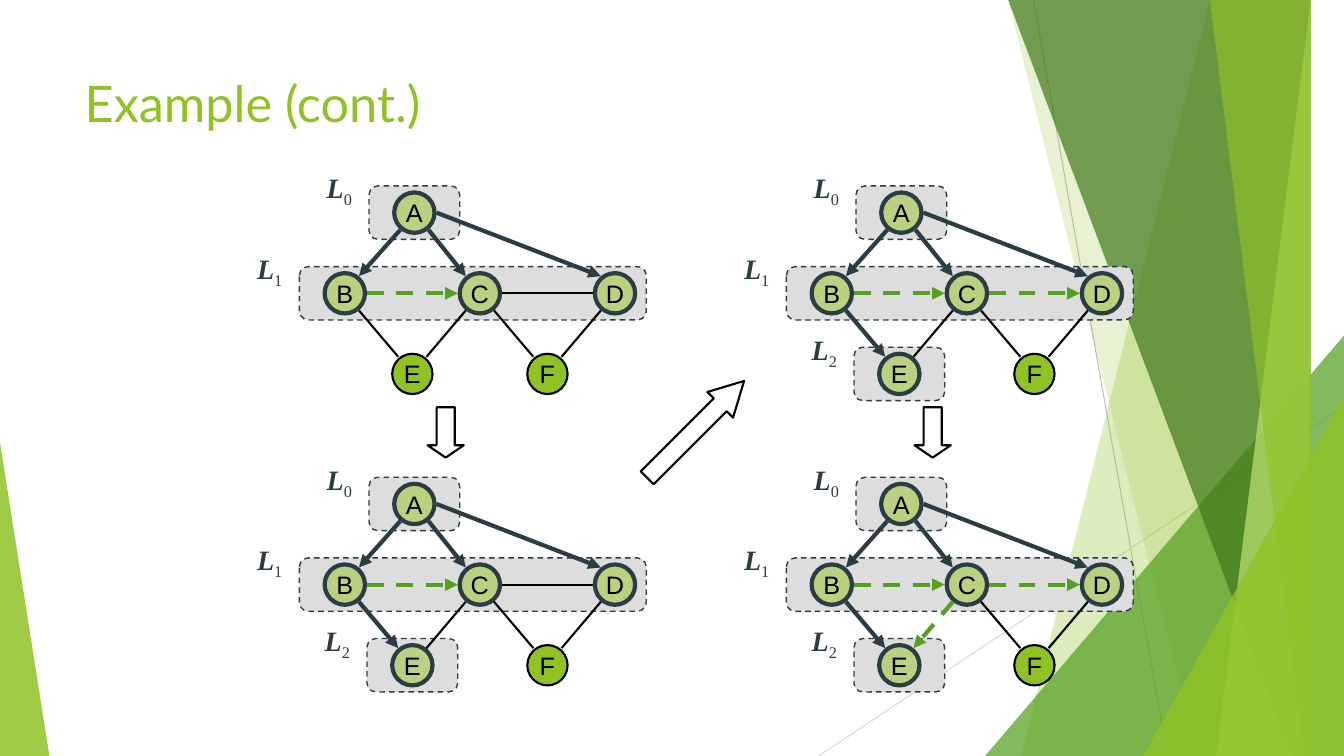
from lxml.etree import SubElement
from pptx import Presentation
from pptx.dml.color import RGBColor
from pptx.enum.dml import MSO_LINE
from pptx.enum.shapes import MSO_CONNECTOR, MSO_SHAPE
from pptx.enum.text import MSO_ANCHOR, MSO_AUTO_SIZE, PP_ALIGN
from pptx.oxml.ns import qn
from pptx.util import Inches, Pt

LIME = RGBColor(0x90, 0xC2, 0x26)
PALE = RGBColor(0xB9, 0xD1, 0x81)
LEAF = RGBColor(0x54, 0xA0, 0x21)
MOSS = RGBColor(0x3F, 0x78, 0x19)
MINT = RGBColor(0xC0, 0xE4, 0x74)
SLATE = RGBColor(0x2C, 0x3C, 0x43)
GRAY = RGBColor(0xDD, 0xDD, 0xDD)
SILVER = RGBColor(0xBF, 0xBF, 0xBF)
MIST = RGBColor(0xD9, 0xD9, 0xD9)
BLACK = RGBColor(0, 0, 0)

WIDE, HIGH = 13.33, 7.5
COL, ROW = 0.67, 0.8          # node grid inside a panel
LEFT, TOP = 3.42, 2.11        # grid origin of the first panel
STEP_X, STEP_Y = 4.83, 2.89   # distance between panels
NODE, BAND = 0.4, 0.53

# node: column, row
NODES = {"C": (2, 1), "B": (0, 1), "A": (1.03, 0),
         "E": (1, 2), "D": (4, 1), "F": (3, 2)}
EDGES = ["AB", "AC", "AD", "BC", "CD", "BE", "CE", "CF", "DF"]
# level: first node, width of its band
LEVELS = [("A", 0.9), ("B", 3.44), ("E", 0.9)]
# panel column, panel row, tree edges, cross edges
PANELS = [(0, 0, ["AB", "AC", "AD"], ["BC"]),
          (0, 1, ["AB", "AC", "AD", "BE"], ["BC"]),
          (1, 0, ["AB", "AC", "AD", "BE"], ["BC", "CD"]),
          (1, 1, ["AB", "AC", "AD", "BE"], ["BC", "CD", "CE"])]


def add_line(shapes, start, end, color, width, dash=False, arrow=False):
    line = shapes.add_connector(MSO_CONNECTOR.STRAIGHT,
                                *map(Inches, (*start, *end)))
    line.line.color.rgb = color
    line.line.width = Pt(width)
    if dash:
        line.line.dash_style = MSO_LINE.DASH
    props = line.element.spPr
    if arrow:
        SubElement(props.find(qn("a:ln")), qn("a:tailEnd"), type="triangle")
    SubElement(props, qn("a:effectLst"))


def add_box(shapes, kind, box, fill=None, edge=None, width=1):
    shape = shapes.add_shape(kind, *map(Inches, box))
    shape.shadow.inherit = False
    if fill is None:
        shape.fill.background()
    else:
        shape.fill.solid()
        shape.fill.fore_color.rgb = fill
    if edge is None:
        shape.line.fill.background()
    else:
        shape.line.color.rgb = edge
        shape.line.width = Pt(width)
    return shape


def fade(shape, share):
    """Set the opacity of a solid fill, in percent."""
    color = next(shape.element.iter(qn("a:srgbClr")))
    SubElement(color, qn("a:alpha"), val=str(share * 1000))


def add_run(para, text, font, size, color, bold=False, italic=False):
    run = para.add_run()
    run.text = text
    run.font.name = font
    run.font.size = Pt(size)
    run.font.color.rgb = color
    run.font.bold = bold
    run.font.italic = italic
    return run


def add_facet(shapes, top, base, color, share):
    """Fill from a slanted edge to the right side of the slide."""
    path = shapes.build_freeform(top, 0, scale=Inches(1))
    path.add_line_segments([(WIDE, 0), (WIDE, HIGH), (base, HIGH)], close=True)
    shape = path.convert_to_shape()
    shape.shadow.inherit = False
    shape.fill.solid()
    shape.fill.fore_color.rgb = color
    shape.line.fill.background()
    fade(shape, share)


def add_wedge(shapes, left, top, width, tip, color, share):
    """Right triangle that stands on the bottom of the slide."""
    shape = add_box(shapes, MSO_SHAPE.ISOSCELES_TRIANGLE,
                    (left, top, width, HIGH - top), color)
    shape.adjustments[0] = tip
    fade(shape, share)


def add_backdrop(shapes):
    add_line(shapes, (10.25, 0), (11.58, HIGH), SILVER, 0.75)
    add_line(shapes, (WIDE, 4.03), (8.12, HIGH), MIST, 0.75)
    add_facet(shapes, 12.28, 10.04, LIME, 30)
    add_facet(shapes, 10.5, 11.83, LIME, 20)
    add_wedge(shapes, 9.77, 3.33, 3.56, 1, LEAF, 72)
    add_facet(shapes, 10.21, 12.91, MOSS, 70)
    add_facet(shapes, 13.03, 11.92, MINT, 70)
    add_facet(shapes, 11.96, 13.18, LIME, 65)
    add_wedge(shapes, 11.34, 3.93, 1.99, 1, LIME, 80)
    add_wedge(shapes, 0, 4.39, 0.49, 0, LIME, 85)


def add_title(slide):
    title = slide.shapes.title
    title.left, title.top, title.width, title.height = map(
        Inches, (0.74, 0.67, 9.4, 1.44))
    frame = title.text_frame
    frame.vertical_anchor = MSO_ANCHOR.TOP
    para = frame.paragraphs[0]
    para.alignment = PP_ALIGN.LEFT
    add_run(para, "Example (cont.)", "Lato", 36, LIME)


def add_level(shapes, mid, level, width):
    left, top = mid[0] - 0.45, mid[1] - BAND / 2
    band = add_box(shapes, MSO_SHAPE.ROUNDED_RECTANGLE,
                   (left, top, width, BAND), GRAY, SLATE)
    band.line.dash_style = MSO_LINE.DASH
    label = shapes.add_textbox(*map(Inches, (left - 0.55, top - 0.2, 0.51, 0.43)))
    frame = label.text_frame
    frame.word_wrap = True
    frame.auto_size = MSO_AUTO_SIZE.SHAPE_TO_FIT_TEXT
    para = frame.paragraphs[0]
    para.alignment = PP_ALIGN.CENTER
    add_run(para, "L", "Times New Roman", 20, SLATE, True, True)
    sub = add_run(para, str(level), "Times New Roman", 20, SLATE)
    sub._r.get_or_add_rPr().set("baseline", "-25000")


def add_node(shapes, mid, name, seen):
    fill, edge, width = (PALE, SLATE, 3) if seen else (LIME, BLACK, 1.5)
    box = (mid[0] - NODE / 2, mid[1] - NODE / 2, NODE, NODE)
    node = add_box(shapes, MSO_SHAPE.OVAL, box, fill, edge, width)
    frame = node.text_frame
    frame.word_wrap = False
    frame.vertical_anchor = MSO_ANCHOR.MIDDLE
    para = frame.paragraphs[0]
    para.alignment = PP_ALIGN.CENTER
    add_run(para, name, "Arial", 18, BLACK)


def find_ends(start, end):
    """Points on the rims of two nodes where their edge begins and stops."""
    (x1, y1), (x2, y2) = start, end
    side = 1 if x2 > x1 else -1
    drop = 0.17 if y2 > y1 else 0
    reach = 0.14 if drop else 0.22
    stop = (x2 - side * reach, y2 - drop)
    if x2 - x1 > 2 * COL:
        return (x1 + 0.22, y1), stop
    return (x1 + side * reach, y1 + drop), stop


def add_panel(shapes, col, row, tree, cross):
    mids = {name: (LEFT + col * STEP_X + x * COL, TOP + row * STEP_Y + y * ROW)
            for name, (x, y) in NODES.items()}
    seen = "A" + "".join(edge[1] for edge in tree)
    for level, (name, width) in enumerate(LEVELS):
        if name in seen:
            add_level(shapes, mids[name], level, width)
    for name, mid in mids.items():
        add_node(shapes, mid, name, name in seen)
    for edge in EDGES:
        ends = find_ends(mids[edge[0]], mids[edge[1]])
        if edge in tree:
            add_line(shapes, *ends, SLATE, 3, arrow=True)
        elif edge in cross:
            add_line(shapes, *ends, LEAF, 3, dash=True, arrow=True)
        else:
            add_line(shapes, *ends, BLACK, 1.5)


def add_arrow(shapes, left, top, width, turn, tip):
    arrow = add_box(shapes, MSO_SHAPE.RIGHT_ARROW, (left, top, width, 0.36),
                    edge=BLACK, width=1.5)
    arrow.rotation = turn
    arrow.adjustments[1] = tip


def main():
    deck = Presentation()
    deck.slide_width, deck.slide_height = Inches(WIDE), Inches(HIGH)
    slide = deck.slides.add_slide(deck.slide_layouts[5])
    shapes = slide.shapes
    add_backdrop(shapes.add_group_shape().shapes)
    add_title(slide)
    for col in range(2):
        add_arrow(shapes, 4.17 + col * STEP_X, 4.11, 0.5, 90, 0.34)
    add_arrow(shapes, 6.22, 4.08, 1.36, 315, 0.93)
    for panel in PANELS:
        add_panel(shapes.add_group_shape().shapes, *panel)
    deck.save("out.pptx")


if __name__ == "__main__":
    main()
